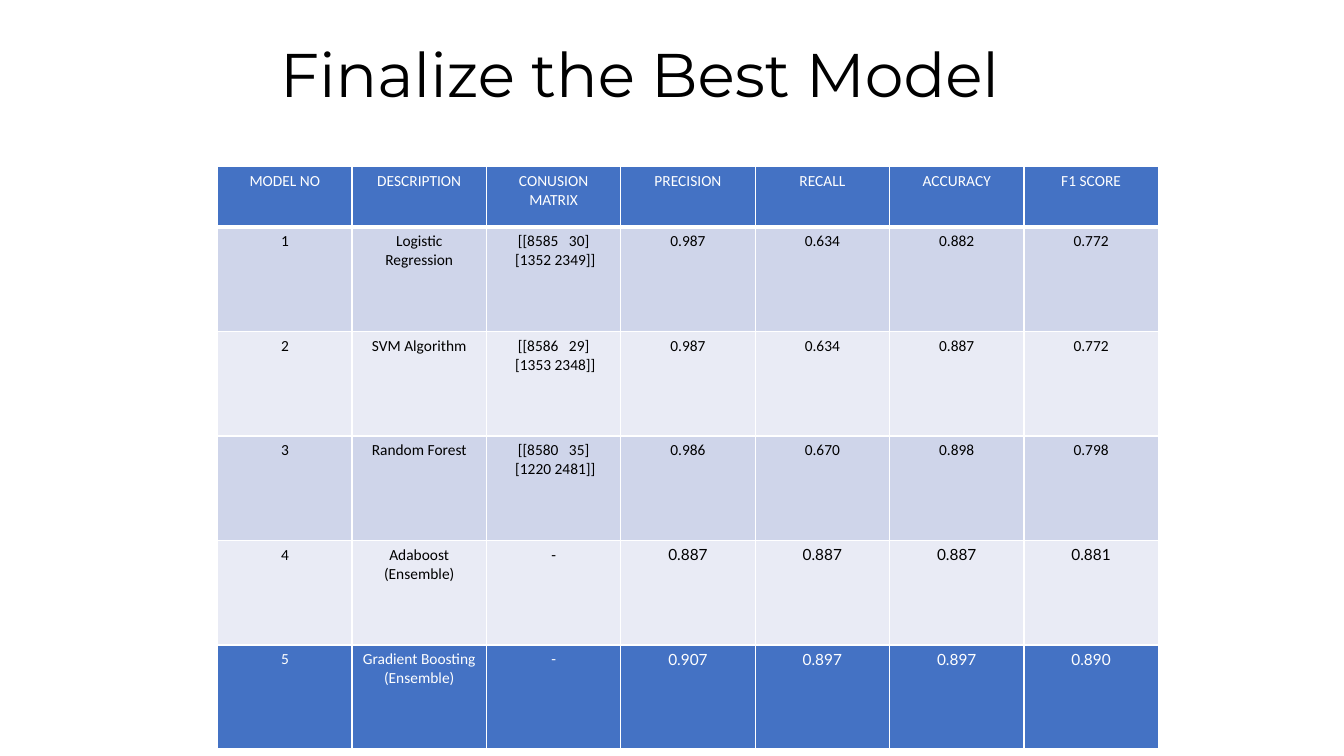
from lxml.etree import SubElement
from pptx import Presentation
from pptx.dml.color import RGBColor as RGB
from pptx.enum.text import MSO_ANCHOR as ANCHOR, PP_ALIGN as ALIGN
from pptx.oxml.ns import qn
from pptx.util import Pt

# Content
TITLE = "Finalize the Best Model"
HEADER = ["MODEL NO", "DESCRIPTION", "CONUSION MATRIX", "PRECISION",
          "RECALL", "ACCURACY", "F1 SCORE"]
MODELS = [
    ["1", "Logistic Regression", "[[8585   30]\n [1352 2349]]",
     "0.987", "0.634", "0.882", "0.772"],
    ["2", "SVM Algorithm", "[[8586   29]\n [1353 2348]]",
     "0.987", "0.634", "0.887", "0.772"],
    ["3", "Random Forest", "[[8580   35]\n [1220 2481]]",
     "0.986", "0.670", "0.898", "0.798"],
    ["4", "Adaboost\n(Ensemble)", "-", "0.887", "0.887", "0.887", "0.881"],
]
BEST = ["5", "Gradient Boosting\n(Ensemble)", "-",
        "0.907", "0.897", "0.897", "0.890"]

# Theme
THEME = {
    "title": {"name": "Montserrat", "size": Pt(44), "color": "000000"},
    "strong": {"name": "Calibri", "size": Pt(11), "color": "FFFFFF"},
    "body": {"name": "Calibri", "size": Pt(11), "color": "000000"},
    "score_font": "Lato",
    "strong_fill": "4472C4",
    "bands": ["CFD5EA", "E9EBF5"],
    "border": "FFFFFF",
    "thin": Pt(1),
    "thick": Pt(3),
}

# Layout
LEFT, TOP, COL_W = 155.5, 118.8, 96
HEADER_H, ROW_H = 43.2, 74.7
FIRST_SCORE = 3


def write(tf, text, style, align, spacing=None):
    for i, line in enumerate(text.split("\n")):
        p = tf.paragraphs[0] if i == 0 else tf.add_paragraph()
        p.alignment = align
        p.line_spacing = spacing
        r = p.add_run()
        r.text = line
        for key, value in style.items():
            if key == "color":
                r.font.color.rgb = RGB.from_string(value)
            else:
                setattr(r.font, key, value)


def set_borders(cell, bottom):
    tc_pr = cell._tc.get_or_add_tcPr()
    widths = dict.fromkeys(["lnL", "lnR", "lnT"], THEME["thin"])
    for i, (tag, width) in enumerate({**widths, "lnB": bottom}.items()):
        ln = SubElement(tc_pr, qn(f"a:{tag}"), w=str(int(width)))
        fill = SubElement(ln, qn("a:solidFill"))
        SubElement(fill, qn("a:srgbClr"), val=THEME["border"])
        tc_pr.insert(i, ln)


def add_grid(s, top, rows):
    """Each row is (texts, height, style, fill, bottom border)."""
    cols = len(HEADER)
    height = sum(row[1] for row in rows)
    tbl = s.shapes.add_table(len(rows), cols, Pt(LEFT), Pt(top),
                             Pt(COL_W * cols), Pt(height)).table
    for col in tbl.columns:
        col.width = Pt(COL_W)
    for i, (texts, row_h, style, fill, bottom) in enumerate(rows):
        tbl.rows[i].height = Pt(row_h)
        for j, text in enumerate(texts):
            cell = tbl.cell(i, j)
            cell.fill.solid()
            cell.fill.fore_color.rgb = RGB.from_string(fill)
            set_borders(cell, bottom)
            is_lato = texts[2] == "-" and j >= FIRST_SCORE
            font = {"name": THEME["score_font"]} if is_lato else {}
            write(cell.text_frame, text, {**style, **font}, ALIGN.CENTER)
    return top + height


prs = Presentation()
prs.slide_width, prs.slide_height = Pt(960), Pt(540)
s = prs.slides.add_slide(prs.slide_layouts[6])

# Title
tf = s.shapes.add_textbox(Pt(193), Pt(28), Pt(612), Pt(126.7)).text_frame
tf.word_wrap = True
tf.vertical_anchor = ANCHOR.TOP
write(tf, TITLE, THEME["title"], ALIGN.LEFT, 0.9)

# Compared models, then the best one in its own table right below
header = (HEADER, HEADER_H, THEME["strong"], THEME["strong_fill"], THEME["thick"])
models = [(m, ROW_H, THEME["body"], THEME["bands"][i % 2], THEME["thin"])
          for i, m in enumerate(MODELS)]
best = (BEST, ROW_H, THEME["strong"], THEME["strong_fill"], THEME["thick"])
bottom = add_grid(s, TOP, [header, *models])
add_grid(s, bottom, [best])

prs.save("out.pptx")
